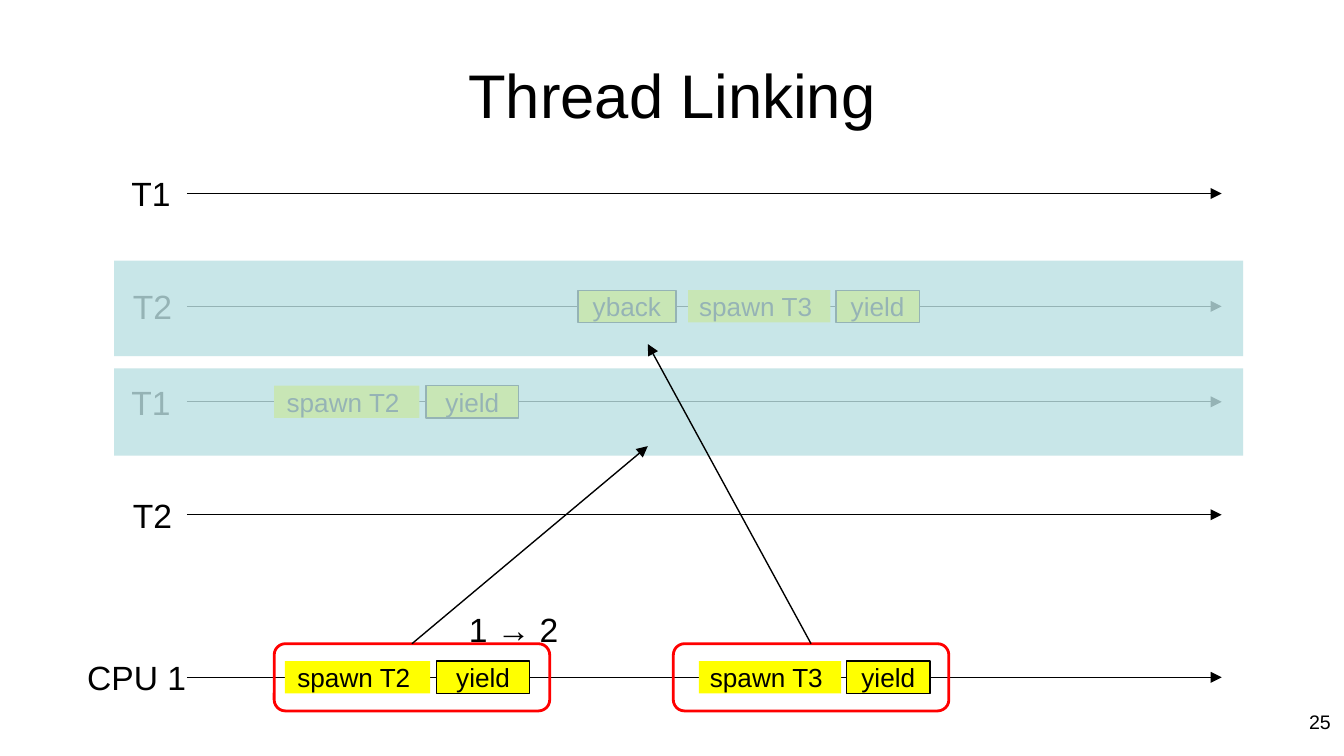
from lxml.etree import SubElement
from pptx import Presentation
from pptx.dml.color import RGBColor
from pptx.enum.shapes import MSO_CONNECTOR, MSO_SHAPE
from pptx.enum.text import MSO_ANCHOR, MSO_AUTO_SIZE, PP_ALIGN
from pptx.oxml.ns import qn
from pptx.util import Emu, Pt

PX = 9144
FONT = "Arial"
COLORS = {"ink": "000000", "call": "FFFF00", "group": "FF0000", "veil": "BBE0E3"}
BLOCK_HEIGHT = 24
LABEL_HEIGHT = 40


def px(*lengths):
    return [Emu(length * PX) for length in lengths]


def color(name):
    return RGBColor.from_string(COLORS[name])


def write(frame, words, size, align=PP_ALIGN.LEFT):
    frame.text = words
    frame.paragraphs[0].alignment = align
    font = frame.paragraphs[0].runs[0].font
    font.name, font.size, font.color.rgb = FONT, Pt(size), color("ink")


def add_label(slide, words, left, top, width, height=LABEL_HEIGHT, size=18,
              align=PP_ALIGN.LEFT, wrap=False):
    frame = slide.shapes.add_textbox(*px(left, top, width, height)).text_frame
    frame.word_wrap = wrap
    write(frame, words, size, align)


def add_box(slide, box, fill=None, line=None, weight=0.75, preset=MSO_SHAPE.RECTANGLE):
    shape = slide.shapes.add_shape(preset, *px(*box))
    shape.shadow.inherit = False
    if fill:
        shape.fill.solid()
        shape.fill.fore_color.rgb = color(fill)
    else:
        shape.fill.background()
    if line:
        shape.line.color.rgb = color(line)
        shape.line.width = Pt(weight)
    else:
        shape.line.fill.background()
    return shape


def add_arrow(slide, start, end):
    arrow = slide.shapes.add_connector(MSO_CONNECTOR.STRAIGHT, *px(*start, *end))
    arrow.line.color.rgb = color("ink")
    arrow.line.width = Pt(0.75)
    SubElement(arrow.line._get_or_add_ln(), qn("a:tailEnd"), type="triangle")
    SubElement(arrow._element.spPr, qn("a:effectLst"))
    return arrow


def add_call(slide, words, left, top, width):
    outline = None if words.startswith("spawn") else "ink"
    call = add_box(slide, (left, top, width, BLOCK_HEIGHT), "call", outline)
    frame = call.text_frame
    frame.margin_left = frame.margin_right = frame.margin_top = frame.margin_bottom = 0
    frame.word_wrap = False
    frame.vertical_anchor = MSO_ANCHOR.MIDDLE
    write(frame, words, 14, PP_ALIGN.CENTER)


def add_veil(slide, box):
    veil = add_box(slide, box, "veil")
    tint = veil._element.spPr.find(qn("a:solidFill"))[0]
    SubElement(tint, qn("a:alpha"), val="80000")


def add_timeline(slide, box, name, axis, calls=(), veiled=False, label=(3, 50)):
    left, top, width, height = box
    level = top + axis
    add_arrow(slide, (left + 54, level), (left + width - 16, level))
    add_label(slide, name, left + label[0], level - LABEL_HEIGHT // 2, label[1])
    for words, offset, call_width in calls:
        add_call(slide, words, left + offset, level - BLOCK_HEIGHT // 2, call_width)
    if veiled:
        add_veil(slide, box)


def add_link(slide, box, target):
    group = add_box(slide, box, line="group", weight=1.5,
                    preset=MSO_SHAPE.ROUNDED_RECTANGLE)
    left, top, width, _ = box
    arrow = add_arrow(slide, (left + width // 2, top), target)
    arrow.begin_connect(group, 0)


def add_title(slide, box):
    title = slide.shapes.title
    title.left, title.top, title.width, title.height = px(*box)
    frame = title.text_frame
    frame.auto_size = MSO_AUTO_SIZE.NONE
    frame.vertical_anchor = MSO_ANCHOR.MIDDLE
    write(frame, "Thread Linking", 33, PP_ALIGN.CENTER)


def main():
    deck = Presentation()
    deck.slide_width = Emu(1000 * PX)
    deck.slide_height = Emu(deck.slide_width * 9 // 16)
    slide = deck.slides.add_slide(deck.slide_layouts[5])

    add_title(slide, (50, 23, 900, 94))
    add_timeline(slide, (85, 110, 840, 68), "T1", 34)
    add_timeline(slide, (85, 194, 840, 71), "T2", 34,
                 [("yback", 345, 73), ("spawn T3 ", 427, 106), ("yield", 537, 62)],
                 veiled=True, label=(4, 50))
    add_timeline(slide, (85, 274, 840, 65), "T1", 25,
                 [("spawn T2 ", 119, 108), ("yield", 232, 69)], veiled=True)
    add_timeline(slide, (85, 349, 840, 68), "T2", 34, label=(4, 50))
    add_timeline(slide, (85, 479, 840, 50), "CPU 1", 25,
                 [("spawn T2 ", 127, 108), ("yield", 240, 69),
                  ("spawn T3 ", 435, 106), ("yield", 545, 62)], label=(-30, 95))
    add_link(slide, (204, 479, 205, 50), (482, 332))
    add_link(slide, (501, 479, 205, 50), (482, 256))
    add_label(slide, "1 → 2", 339, 448, 94)
    add_label(slide, "25", 767, 523, 233, 39, 10.5, PP_ALIGN.RIGHT, wrap=True)

    deck.save("out.pptx")


if __name__ == "__main__":
    main()
